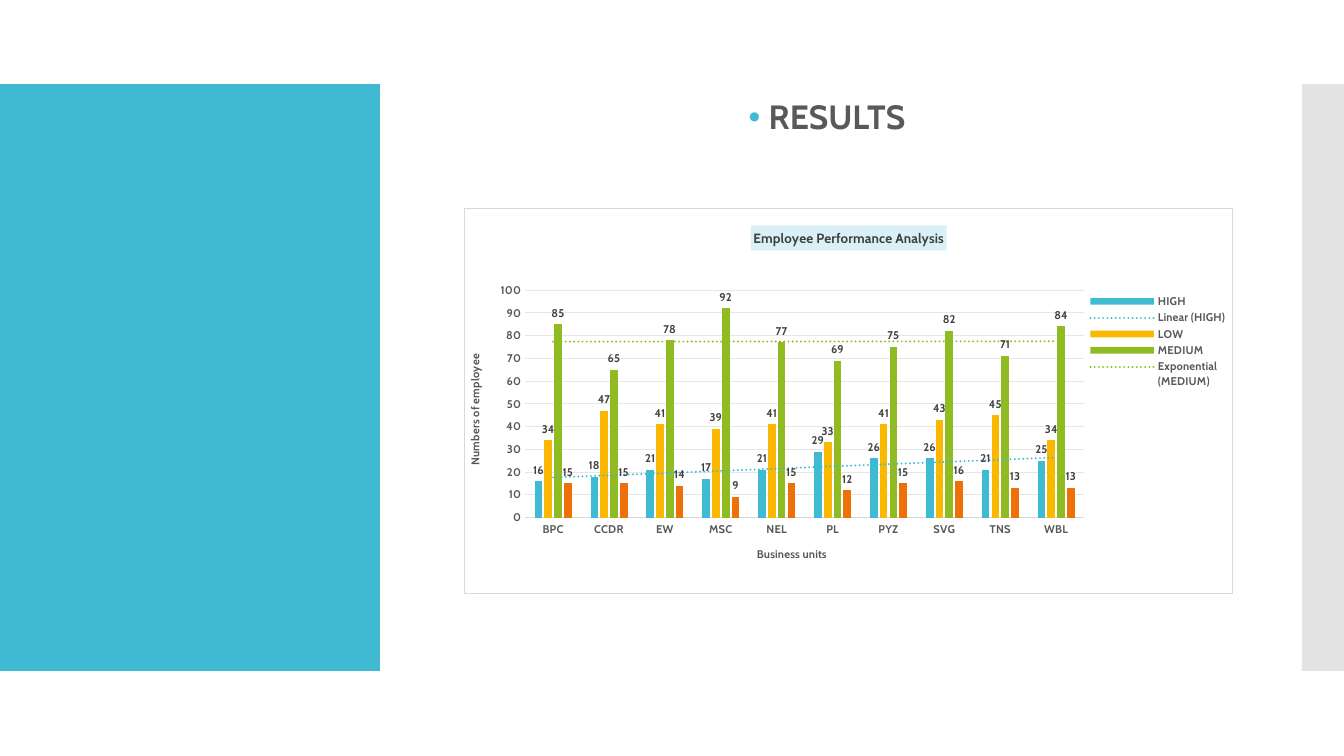
"""Build the results slide with its employee performance chart."""
from lxml import etree
from pptx import Presentation, util as u
from pptx.chart.data import CategoryChartData
from pptx.dml.color import RGBColor
from pptx.enum import chart as ch, shapes, text
from pptx.oxml import parse_xml
from pptx.oxml.ns import nsdecls, qn

HEADING = "RESULTS"
CHART_TITLE = "Employee Performance Analysis"
X_TITLE = "Business units"
Y_TITLE = "Numbers of employee"
UNITS = ["BPC", "CCDR", "EW", "MSC", "NEL", "PL", "PYZ", "SVG", "TNS", "WBL"]
RATINGS = [
    ("HIGH", "40BAD2", "linear", [16, 18, 21, 17, 21, 29, 26, 26, 21, 25]),
    ("LOW", "FAB900", None, [34, 47, 41, 39, 41, 33, 41, 43, 45, 34]),
    ("MEDIUM", "90BB23", "exp", [85, 65, 78, 92, 77, 69, 75, 82, 71, 84]),
    ("", "EE7008", None, [15, 15, 14, 9, 15, 12, 15, 16, 13, 13]),
]

SLIDE = (1344, 756)
BANDS = [((0, 84, 380, 587), "40BAD2", 100), ((1302, 84, 42, 587), "C8C8C8", 50)]
HEADING_BOX = (424, 96, 806, 564)
CHART_BOX = (464, 208, 769, 386)
PLOT = (61, 82, 560, 228)
LEGEND = (623, 84, 143, 98)
TITLE_AT, X_TITLE_AT, Y_TITLE_AT = (287, 17), (291, 336), (0, 144)

THEME = {
    "font": "Cabin", "heading": 24, "title": 9.6, "small": 8,
    "accent": "40BAD2", "ink": "595959", "label": "404040",
    "border": "D9D9D9", "grid": "E6E6E6", "paper": "FFFFFF", "title_fill": "D9F1F6",
}
SCALE = 914400 / 100.8


def px(*lengths):
    return [round(length * SCALE) for length in lengths]


def rgb(colour):
    return RGBColor.from_string(colour)


def style(font, size, colour):
    font.name, font.size, font.bold = THEME["font"], u.Pt(size), True
    font.color.rgb = rgb(colour)


def outline(line, colour):
    line.color.rgb = rgb(colour)
    line.width = u.Pt(0.75)


def layout(at, inner=False):
    fractions = [f"{n / CHART_BOX[2 + i % 2]:.3f}" for i, n in enumerate(at)]
    target = '<c:layoutTarget val="inner"/>' if inner else ""
    modes = '<c:xMode val="edge"/><c:yMode val="edge"/>'
    places = "".join(f'<c:{k} val="{v}"/>' for k, v in zip("xywh", fractions))
    return parse_xml(f'<c:layout {nsdecls("c")}><c:manualLayout>{target}{modes}'
                     f"{places}</c:manualLayout></c:layout>")


def place(element, arrangement, after=None):
    old = element.find(qn("c:layout"))
    if old is not None:
        element.remove(old)
    if after is None:
        element.insert(0, arrangement)
    else:
        element.find(qn(after)).addnext(arrangement)


def write_title(owner, words, size, colour, at):
    frame = owner.text_frame
    frame.text = words
    style(frame.paragraphs[0].font, size, colour)
    place(owner._element, layout(at), "c:tx")
    return frame


def add_trend(series, kind, colour):
    series._element.find(qn("c:cat")).addprevious(parse_xml(
        f'<c:trendline {nsdecls("c", "a")}><c:spPr><a:ln w="19050" cap="rnd"><a:solidFill>'
        f'<a:srgbClr val="{colour}"/></a:solidFill><a:prstDash val="sysDot"/></a:ln></c:spPr>'
        f'<c:trendlineType val="{kind}"/><c:dispRSqr val="0"/><c:dispEq val="0"/></c:trendline>'))


def add_bands(slide):
    for box, colour, opacity in BANDS:
        band = slide.shapes.add_shape(shapes.MSO_SHAPE.RECTANGLE, *px(*box))
        band.shadow.inherit = False
        band.fill.solid()
        band.fill.fore_color.rgb = rgb(colour)
        band.line.fill.background()
        if opacity < 100:
            tint = band._element.spPr.find(qn("a:solidFill"))[0]
            etree.SubElement(tint, qn("a:alpha"), val=str(opacity * 1000))


def add_heading(slide):
    frame = slide.shapes.add_textbox(*px(*HEADING_BOX)).text_frame
    frame.word_wrap = True
    heading = frame.paragraphs[0]
    heading.text = HEADING
    heading.alignment = text.PP_ALIGN.CENTER
    heading.line_spacing = 0.9
    heading.space_before = u.Pt(12)
    style(heading.font, THEME["heading"], THEME["ink"])
    props = heading._p.get_or_add_pPr()
    props.set("marL", "182880")
    props.set("indent", "-182880")
    bullet = (f'<a:buClr {nsdecls("a")}><a:srgbClr val="{THEME["accent"]}"/></a:buClr>',
              f'<a:buFont {nsdecls("a")} typeface="Arial"/>',
              f'<a:buChar {nsdecls("a")} char="•"/>')
    defaults = props.find(qn("a:defRPr"))
    for part in bullet:
        defaults.addprevious(parse_xml(part))


def style_axes(chart):
    units, counts = chart.category_axis, chart.value_axis
    for axis in (units, counts):
        axis.major_tick_mark = axis.minor_tick_mark = ch.XL_TICK_MARK.NONE
        style(axis.tick_labels.font, THEME["small"], THEME["ink"])
    outline(units.format.line, THEME["border"])
    counts.format.line.fill.background()
    counts.minimum_scale, counts.maximum_scale, counts.major_unit = 0, 100, 10
    outline(counts.major_gridlines.format.line, THEME["grid"])
    write_title(units.axis_title, X_TITLE, THEME["small"], THEME["ink"], X_TITLE_AT)
    upright = write_title(counts.axis_title, Y_TITLE, THEME["small"], THEME["ink"], Y_TITLE_AT)
    upright._txBody.bodyPr.set("rot", "-5400000")
    upright._txBody.bodyPr.set("vert", "horz")


def style_legend(chart):
    chart.has_legend = True
    legend = chart.legend
    legend.position = ch.XL_LEGEND_POSITION.RIGHT
    legend.include_in_layout = False
    style(legend.font, THEME["small"], THEME["ink"])
    place(legend._element, layout(LEGEND), "c:legendPos")
    for index, (name, *_) in enumerate(RATINGS):
        if not name:
            legend._element.find(qn("c:layout")).addprevious(parse_xml(
                f'<c:legendEntry {nsdecls("c")}><c:idx val="{index}"/>'
                '<c:delete val="1"/></c:legendEntry>'))


def add_performance(slide):
    ratings = CategoryChartData()
    ratings.categories = UNITS
    for name, _, _, values in RATINGS:
        ratings.add_series(name, values)
    chart = slide.shapes.add_chart(
        ch.XL_CHART_TYPE.COLUMN_CLUSTERED, *px(*CHART_BOX), ratings).chart
    style(chart.font, THEME["small"], THEME["ink"])
    chart.has_title = True
    write_title(chart.chart_title, CHART_TITLE, THEME["title"], THEME["label"], TITLE_AT)
    title_fill = chart.chart_title.format.fill
    title_fill.solid()
    title_fill.fore_color.rgb = rgb(THEME["title_fill"])
    columns = chart.plots[0]
    columns.vary_by_categories = False
    columns.gap_width, columns.overlap = 246, -28
    for series, (_, colour, trend, _) in zip(columns.series, RATINGS):
        series.format.fill.solid()
        series.format.fill.fore_color.rgb = rgb(colour)
        labels = series.data_labels
        labels.show_value = True
        labels.position = ch.XL_LABEL_POSITION.OUTSIDE_END
        style(labels.font, THEME["small"], THEME["label"])
        if trend:
            add_trend(series, trend, colour)
    style_axes(chart)
    style_legend(chart)
    space = chart._chartSpace
    place(space.chart.plotArea, layout(PLOT, inner=True))
    space.chart.addnext(parse_xml(
        f'<c:spPr {nsdecls("c", "a")}><a:solidFill><a:srgbClr val="{THEME["paper"]}"/></a:solidFill>'
        f'<a:ln w="9525"><a:solidFill><a:srgbClr val="{THEME["border"]}"/></a:solidFill></a:ln></c:spPr>'))


def main():
    deck = Presentation()
    deck.slide_width, deck.slide_height = px(*SLIDE)
    slide = deck.slides.add_slide(deck.slide_layouts[6])
    add_bands(slide)
    add_heading(slide)
    add_performance(slide)
    deck.save("out.pptx")


if __name__ == "__main__":
    main()
